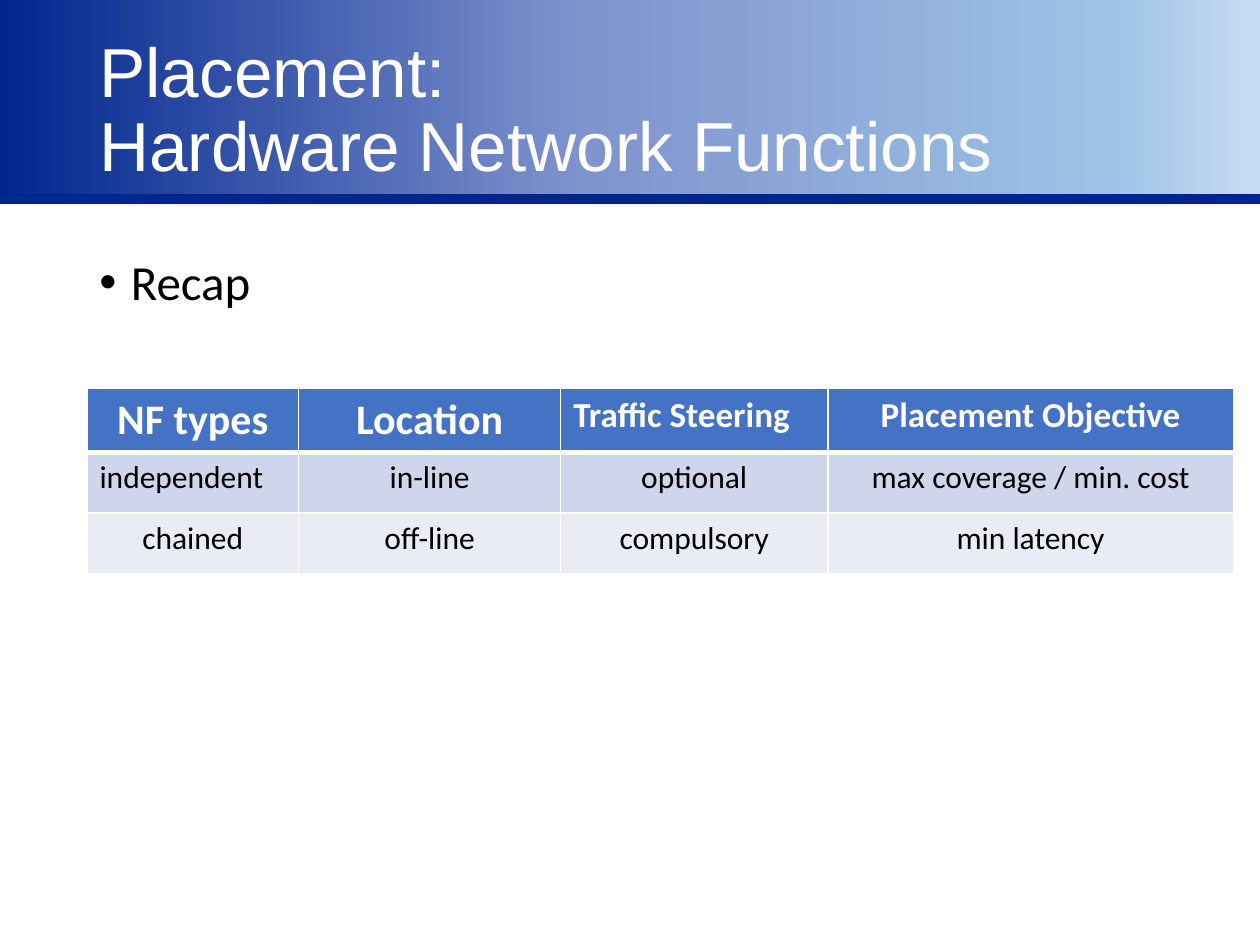
import pptx
import pptx.util
import pptx.dml.color
import pptx.enum.shapes
import pptx.enum.text
import pptx.oxml
import pptx.oxml.ns

Inches, Pt = pptx.util.Inches, pptx.util.Pt
ALIGN = pptx.enum.text.PP_ALIGN
ANCHOR = pptx.enum.text.MSO_ANCHOR
NS = pptx.oxml.ns.nsdecls("a")
W, H = 10, 7.5
MARGIN = 0.69

COLORS = {
    "navy": "00258E", "periwinkle": "8094CE", "sky": "9DC3E6", "pale": "E7ECFF",
    "outline": "3F6FC3", "white": "FFFFFF", "black": "000000",
    "header": "4472C4", "band_dark": "CFD5EA", "band_light": "E9EBF5",
}
GRADIENT = [(0, "navy"), (43, "periwinkle"), (81, "sky"), (100, "pale")]

TABLE = [
    ["NF types", "Location", "Traffic Steering", "Placement Objective"],
    ["independent", "in-line", "optional", "max coverage / min. cost"],
    ["chained", "off-line", "compulsory", "min latency"],
]
COL_WIDTHS = [1.68, 2.08, 2.12, 3.22]
ROW_HEIGHTS = [0.51, 0.48, 0.48]
ROW_FILLS = ["header", "band_dark", "band_light"]
HEADER_SIZES = [24, 24, 20, 20]
LEFT_CELLS = {(0, 2), (1, 0)}


def rgb(name):
    return pptx.dml.color.RGBColor.from_string(COLORS[name])


def xml(text):
    return pptx.oxml.parse_xml(text)


def add_run(p, text, size, color, font="Calibri", bold=False):
    r = p.add_run()
    r.text = text
    r.font.size, r.font.name, r.font.bold = Pt(size), font, bold
    r.font.color.rgb = rgb(color)


def add_text_box(slide, box, anchor):
    tf = slide.shapes.add_textbox(*map(Inches, box)).text_frame
    tf.word_wrap = True
    tf.vertical_anchor = anchor
    p = tf.paragraphs[0]
    p.line_spacing = 0.9
    return p


def add_banner(slide, box):
    # Gradient band with a soft shadow
    sp = slide.shapes.add_shape(
        pptx.enum.shapes.MSO_SHAPE.RECTANGLE, *map(Inches, box))
    sp.line.color.rgb = rgb("outline")
    sp.line.width = Pt(0.75)
    stops = "".join(
        f'<a:gs pos="{pos * 1000}"><a:srgbClr val="{COLORS[name]}"/></a:gs>'
        for pos, name in GRADIENT)
    sp._element.spPr.find(pptx.oxml.ns.qn("a:prstGeom")).addnext(xml(
        f'<a:gradFill {NS} rotWithShape="1"><a:gsLst>{stops}</a:gsLst>'
        '<a:lin ang="0" scaled="0"/></a:gradFill>'))
    sp._element.spPr.append(xml(
        f'<a:effectLst {NS}><a:outerShdw blurRad="{Pt(3.1)}" dist="{Pt(1.6)}" '
        'dir="5400000" rotWithShape="0"><a:srgbClr val="000000">'
        '<a:alpha val="38000"/></a:srgbClr></a:outerShdw></a:effectLst>'))

    # Rule along the foot of the band
    y = Inches(box[1] + box[3] + 0.03)
    rule = slide.shapes.add_connector(
        pptx.enum.shapes.MSO_CONNECTOR.STRAIGHT, 0, y, Inches(W), y)
    rule.line.color.rgb = rgb("navy")
    rule.line.width = Pt(6)
    rule._element.spPr.append(xml(f"<a:effectLst {NS}/>"))


def add_title(slide, box, lines):
    p = add_text_box(slide, box, ANCHOR.MIDDLE)
    for i, line in enumerate(lines):
        if i:
            p.add_line_break()
        add_run(p, line, 39.6, "white", "Arial")


def add_bullet(slide, box, text):
    p = add_text_box(slide, box, ANCHOR.TOP)
    p.space_before = Pt(10)
    pPr = p._p.get_or_add_pPr()
    pPr.set("marL", str(Inches(0.25)))
    pPr.set("indent", str(-Inches(0.25)))
    pPr.append(xml(f'<a:buFont {NS} typeface="Arial"/>'))
    pPr.append(xml(f'<a:buChar {NS} char="•"/>'))
    add_run(p, text, 28, "black")


def set_borders(cell, widths):
    tcPr = cell._tc.get_or_add_tcPr()
    for i, (side, width) in enumerate(widths.items()):
        tcPr.insert(i, xml(
            f'<a:ln{side} {NS} w="{Pt(width)}"><a:solidFill>'
            f'<a:srgbClr val="{COLORS["white"]}"/></a:solidFill></a:ln{side}>'))


def add_nf_table(slide, left, top):
    table = slide.shapes.add_table(
        len(TABLE), len(COL_WIDTHS), Inches(left), Inches(top),
        Inches(sum(COL_WIDTHS)), Inches(sum(ROW_HEIGHTS))).table
    for col, width in zip(table.columns, COL_WIDTHS):
        col.width = Inches(width)
    for i, texts in enumerate(TABLE):
        table.rows[i].height = Inches(ROW_HEIGHTS[i])
        head = i == 0
        for j, text in enumerate(texts):
            cell = table.cell(i, j)
            cell.fill.solid()
            cell.fill.fore_color.rgb = rgb(ROW_FILLS[i])
            set_borders(cell, {"L": 1, "R": 1, "T": 3 if i == 1 else 1,
                               "B": 3 if head else 1})
            p = cell.text_frame.paragraphs[0]
            p.alignment = ALIGN.LEFT if (i, j) in LEFT_CELLS else ALIGN.CENTER
            add_run(p, text, HEADER_SIZES[j] if head else 18,
                    "white" if head else "black", bold=head)


prs = pptx.Presentation()
prs.slide_width, prs.slide_height = Inches(W), Inches(H)
slide = prs.slides.add_slide(prs.slide_layouts[6])

add_banner(slide, (-0.01, -0.1, 10.87, 1.65))
add_title(slide, (MARGIN, 0.24, 10.18, 1.3),
          ["Placement:", "Hardware Network Functions"])
add_bullet(slide, (MARGIN, 2, W - 2 * MARGIN, 4.76), "Recap")
add_nf_table(slide, MARGIN, 3.08)

prs.save("out.pptx")
